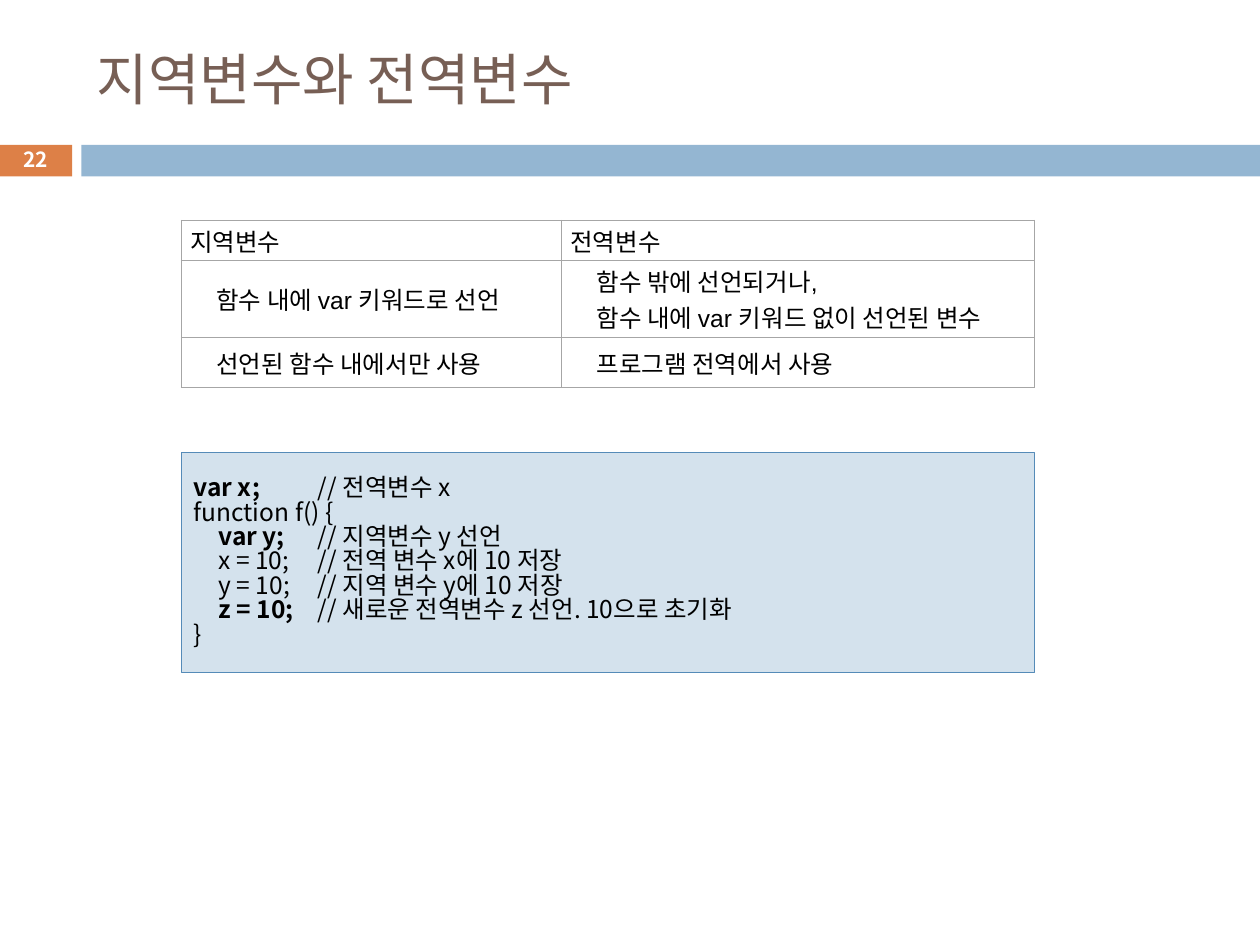
from lxml import etree
from pptx import Presentation
from pptx.dml.color import RGBColor
from pptx.enum.shapes import MSO_SHAPE
from pptx.enum.text import MSO_ANCHOR, PP_ALIGN
from pptx.oxml.ns import qn
from pptx.util import Pt

RECTANGLE = MSO_SHAPE.RECTANGLE
MIDDLE = MSO_ANCHOR.MIDDLE
LEFT, CENTER = PP_ALIGN.LEFT, PP_ALIGN.CENTER


class Theme:
    sans = "Arial"
    korean = "Noto Sans CJK KR"
    title_size, text_size, number_size = 32, 14, 11.9
    title = "775F55"
    text = "000000"
    number = "FFFFFF"
    accent = "DD8047"
    band = "94B6D2"
    code_fill, code_line = "D4E2ED", "558BB8"
    grid = "A6A6A6"


def style(paragraph, size, color, latin=Theme.korean, bold=False):
    font = paragraph.font
    font.size, font.bold = Pt(size), bold
    font.color.rgb = RGBColor.from_string(color)
    font.name = latin
    defaults = paragraph._p.pPr.find(qn("a:defRPr"))
    etree.SubElement(defaults, qn("a:ea"), typeface=Theme.korean)


def add_bar(left, top, width, height, color):
    bar = slide.shapes.add_shape(RECTANGLE, Pt(left), Pt(top), Pt(width), Pt(height))
    bar.shadow.inherit = False
    bar.fill.solid()
    bar.fill.fore_color.rgb = RGBColor.from_string(color)
    bar.line.fill.background()
    return bar


prs = Presentation()
prs.slide_width, prs.slide_height = Pt(720), Pt(540)
slide = prs.slides.add_slide(prs.slide_layouts[5])

# Header: title, slide number and band
heading = slide.shapes.title
heading.left, heading.top, heading.width, heading.height = Pt(48), Pt(18), Pt(642), Pt(53.5)
heading.text_frame.text = "지역변수와 전역변수"
heading.text_frame.vertical_anchor = MIDDLE
heading_line = heading.text_frame.paragraphs[0]
heading_line.alignment = LEFT
style(heading_line, Theme.title_size, Theme.title)

add_bar(-0.5, 82.8, 41.7, 18, Theme.accent)
add_bar(46.5, 82.8, 673.5, 18, Theme.band)

number = slide.shapes.add_textbox(Pt(-0.5), Pt(81.5), Pt(41.7), Pt(19.5)).text_frame
number.word_wrap = True
number.vertical_anchor = MIDDLE
number.margin_top = number.margin_bottom = 0
number.text = "22"
number.paragraphs[0].alignment = CENTER
style(number.paragraphs[0], Theme.number_size, Theme.number, bold=True)

# Comparison of local and global variables
comparison = [
    ["지역변수", "전역변수"],
    ["함수 내에 var 키워드로 선언", "함수 밖에 선언되거나,\n함수 내에 var 키워드 없이 선언된 변수"],
    ["선언된 함수 내에서만 사용", "프로그램 전역에서 사용"],
]
column_widths = [217.2, 270.3]
row_heights = [23, 44, 28.6]
content_left, content_width = 103.6, sum(column_widths)

table = slide.shapes.add_table(
    len(row_heights), len(column_widths),
    Pt(content_left), Pt(125.8), Pt(content_width), Pt(sum(row_heights))).table
table.first_row = table.horz_banding = False
for column, width in zip(table.columns, column_widths):
    column.width = Pt(width)
for r, (row, height) in enumerate(zip(table.rows, row_heights)):
    row.height = Pt(height)
    for cell, content in zip(row.cells, comparison[r]):
        cell.text = content
        cell.vertical_anchor = MIDDLE
        cell.margin_left = cell.margin_right = Pt(5.1)
        cell.margin_top = cell.margin_bottom = Pt(1.4)
        for paragraph in cell.text_frame.paragraphs:
            style(paragraph, Theme.text_size, Theme.text, Theme.sans)
            if r:
                paragraph._p.pPr.set("marL", str(Pt(15)))
                paragraph._p.pPr.set("indent", "0")
        properties = cell._tc.get_or_add_tcPr()
        for side in ("lnL", "lnR", "lnT", "lnB"):
            border = etree.SubElement(properties, qn(f"a:{side}"), w=str(Pt(0.5)))
            fill = etree.SubElement(border, qn("a:solidFill"))
            etree.SubElement(fill, qn("a:srgbClr"), val=Theme.grid)
        cell.fill.background()

# Code example: (indent, code, comment, highlighted)
code_lines = [
    ("", "var x;", "\t// 전역변수 x", True),
    ("", "function f() {", "", False),
    ("\t", "var y;", "\t// 지역변수 y 선언", True),
    ("\t", "x = 10;", "\t// 전역 변수 x에 10 저장", False),
    ("\t", "y = 10;", "\t// 지역 변수 y에 10 저장", False),
    ("\t", "z = 10;", "\t// 새로운 전역변수 z 선언. 10으로 초기화", True),
    ("", "}", "", False),
]
tab_stops = [14.2, 70.9]

code_box = add_bar(content_left, 258.5, content_width, 126, Theme.code_fill)
code_box.line.color.rgb = RGBColor.from_string(Theme.code_line)
code_box.line.width = Pt(0.75)
code = code_box.text_frame
code.word_wrap = True
code.vertical_anchor = MIDDLE
code.margin_left = code.margin_right = Pt(7.2)
code.margin_top = code.margin_bottom = Pt(3.6)
for i, (indent, statement, comment, highlighted) in enumerate(code_lines):
    paragraph = code.paragraphs[0] if i == 0 else code.add_paragraph()
    paragraph.alignment = LEFT
    paragraph.line_spacing = 0.83
    tabs = etree.SubElement(paragraph._p.get_or_add_pPr(), qn("a:tabLst"))
    for stop in tab_stops:
        etree.SubElement(tabs, qn("a:tab"), pos=str(Pt(stop)), algn="l")
    style(paragraph, Theme.text_size, Theme.text)
    for part in (indent, statement, comment):
        if part:
            run = paragraph.add_run()
            run.text = part
            if highlighted and part == statement:
                run.font.bold = True

prs.save("out.pptx")
